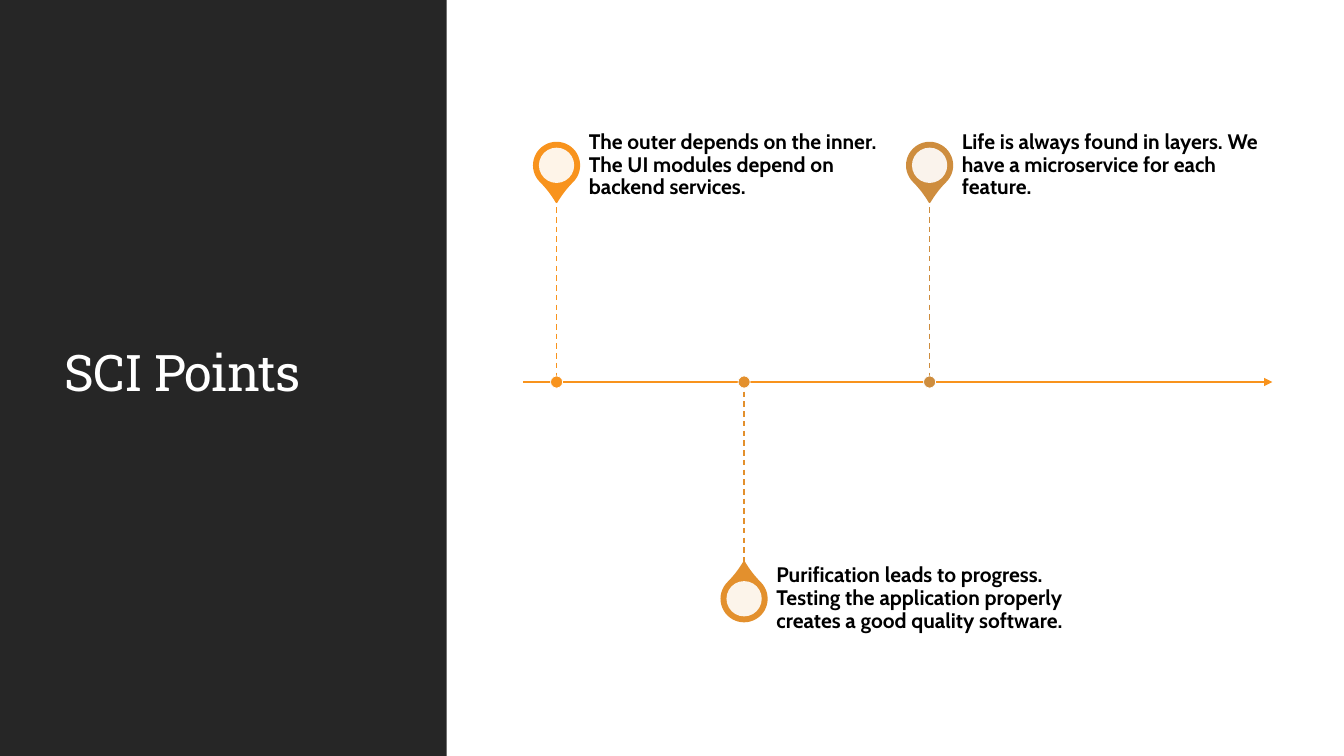
"""Build a slide with a dark title panel and a timeline of three pins."""
from lxml.etree import SubElement
from pptx import Presentation
from pptx.dml.color import RGBColor
from pptx.enum.dml import MSO_LINE
from pptx.enum.shapes import MSO_CONNECTOR, MSO_SHAPE
from pptx.enum.text import MSO_ANCHOR
from pptx.oxml.ns import qn
from pptx.util import Inches, Pt

COLORS = {"dark": "262626", "white": "FFFFFF", "black": "000000",
          "first": "F8931D", "second": "E3902D", "third": "CE8D3E"}
AXIS = 3.79
REACH = 2.15
PINS = [
    (5.52, -1, "first", "The outer depends on the inner. "
     "The UI modules depend on backend services."),
    (7.38, 1, "second", "Purification leads to progress. "
     "Testing the application properly creates a good quality software."),
    (9.22, -1, "third", "Life is always found in layers. "
     "We have a microservice for each feature."),
]


def color(name):
    return RGBColor.from_string(COLORS[name])


def add_form(slide, kind, box, fill, edge=None, width=0):
    form = slide.shapes.add_shape(kind, *map(Inches, box))
    form.shadow.inherit = False
    form.fill.solid()
    form.fill.fore_color.rgb = color(fill)
    if edge:
        form.line.color.rgb = color(edge)
        form.line.width = Pt(width)
    else:
        form.line.fill.background()
    return form


def add_disc(slide, x, y, size, fill, edge=None, width=0):
    box = (x - size / 2, y - size / 2, size, size)
    return add_form(slide, MSO_SHAPE.OVAL, box, fill, edge, width)


def add_line(slide, start, end, name, width):
    line = slide.shapes.add_connector(
        MSO_CONNECTOR.STRAIGHT, *map(Inches, start + end))
    line.line.color.rgb = color(name)
    line.line.width = Pt(width)
    SubElement(line._element.spPr, qn("a:effectLst"))
    return line


def add_text(slide, box, text, font, size, name, bold=False):
    area = slide.shapes.add_textbox(*map(Inches, box))
    frame = area.text_frame
    frame.word_wrap = True
    frame.vertical_anchor = MSO_ANCHOR.MIDDLE
    frame.text = text
    line = frame.paragraphs[0]
    line.line_spacing = 0.9
    line.font.name = font
    line.font.size = Pt(size)
    line.font.bold = bold
    line.font.color.rgb = color(name)
    return frame


def add_title(slide):
    add_form(slide, MSO_SHAPE.RECTANGLE, (0, 0, 4.43, 7.5), "dark")
    frame = add_text(slide, (0.54, 0.57, 3.37, 6.31), "SCI Points",
                     "Roboto Slab", 36, "white")
    run = frame.paragraphs[0].runs[0]
    run.font._element.set("spc", "-50")


def add_axis(slide):
    axis = add_line(slide, (5.19, AXIS), (12.62, AXIS), "first", 1.5)
    SubElement(axis.line._get_or_add_ln(), qn("a:tailEnd"), type="triangle")


def add_pin(slide, x, side, name, text):
    head = AXIS + side * REACH
    drop = add_form(slide, MSO_SHAPE.TEAR, (x - 0.225, head - 0.225, 0.45, 0.45),
                    name, name, 1.25)
    drop.adjustments[0] = 1.15
    drop.rotation = 135 if side < 0 else 315
    hole = add_disc(slide, x, head, 0.35, "white")
    tint = hole.fill._xPr.find(qn("a:solidFill"))[0]
    SubElement(tint, qn("a:alpha"), val="90000")
    frame = add_text(slide, (x + 0.32, head - 0.32, 3.08, 0.64), text,
                     "Cabin", 15, "black", True)
    frame.margin_left = frame.margin_top = frame.margin_bottom = 0
    ends = sorted([AXIS, head - side * 0.32])
    stem = add_line(slide, (x, ends[0]), (x, ends[1]), name, 1)
    stem.line.dash_style = MSO_LINE.DASH
    add_disc(slide, x, AXIS, 0.12, name, "white", 0.5)


def main():
    deck = Presentation()
    deck.slide_width, deck.slide_height = Inches(13.33), Inches(7.5)
    slide = deck.slides.add_slide(deck.slide_layouts[6])
    add_title(slide)
    add_axis(slide)
    for pin in PINS:
        add_pin(slide, *pin)
    deck.save("out.pptx")


if __name__ == "__main__":
    main()
